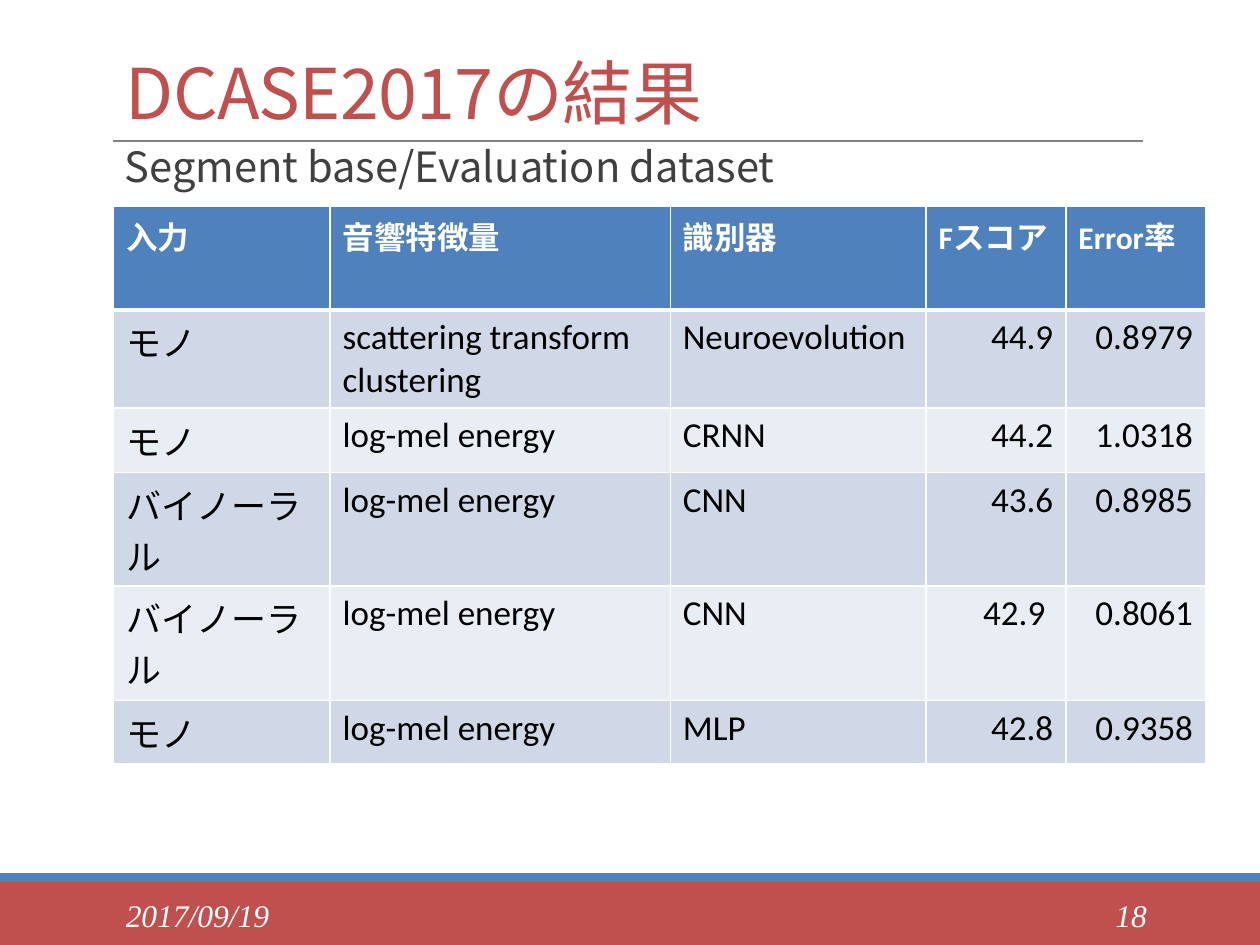
import pptx
import pptx.util
import pptx.dml.color
import pptx.enum.shapes
import pptx.enum.text
import pptx.oxml.ns
import lxml.etree

Inches = pptx.util.Inches
Pt = pptx.util.Pt
ALIGN = pptx.enum.text.PP_ALIGN
ANCHOR = pptx.enum.text.MSO_ANCHOR
qn = pptx.oxml.ns.qn

COLORS = {
    "red": "C0504D", "blue": "4F81BD", "rule": "808080", "white": "FFFFFF",
    "black": "000000", "subtitle": "404040", "odd": "D0D8E8", "even": "E9EDF4",
}
CJK = "Noto Sans CJK JP"


def rgb(name):
    return pptx.dml.color.RGBColor.from_string(COLORS[name])


def write(frame, text, color, font, paragraph=None):
    """Write one paragraph per line, with font and paragraph formats."""
    frame.text = text
    for para in frame.paragraphs:
        for key, value in (paragraph or {}).items():
            setattr(para, key, value)
        for span in para.runs:
            for key, value in font.items():
                setattr(span.font, key, value)
            span.font.color.rgb = rgb(color)
            properties = span._r.get_or_add_rPr()
            east_asian = lxml.etree.SubElement(properties, qn("a:ea"))
            east_asian.set("typeface", CJK)


deck = pptx.Presentation()
deck.slide_width, deck.slide_height = Inches(10), Inches(7.5)
page = deck.slides.add_slide(deck.slide_layouts[6])

# Footer bands
for top, height, color in [(7, 0.5, "red"), (6.93, 0.07, "blue")]:
    band = page.shapes.add_shape(
        pptx.enum.shapes.MSO_SHAPE.RECTANGLE,
        Inches(0), Inches(top), Inches(10), Inches(height))
    band.shadow.inherit = False
    band.fill.solid()
    band.fill.fore_color.rgb = rgb(color)
    band.line.fill.background()

# Rule under the title
rule = page.shapes.add_connector(
    pptx.enum.shapes.MSO_CONNECTOR.STRAIGHT,
    Inches(0.9), Inches(1.12), Inches(9.07), Inches(1.12))
rule.line.color.rgb = rgb("rule")
rule.line.width = Pt(1)
lxml.etree.SubElement(rule._element.spPr, qn("a:effectLst"))

# Title, subtitle, date and page number
title_font = {"name": CJK, "size": Pt(40)}
subtitle_font = {"name": CJK, "size": Pt(23.8)}
footer_font = {"name": "Times New Roman", "size": Pt(18), "italic": True}
subtitle_spacing = {"line_spacing": 0.7, "space_before": Pt(9), "space_after": Pt(1.5)}
texts = [
    ("DCASE2017の結果", (0.9, 0.31, 8.25, 0.8), "red", title_font,
     {"line_spacing": 0.85}, {"vertical_anchor": ANCHOR.BOTTOM}),
    ("Segment base/Evaluation dataset", (0.9, 1.18, 7.56, 0.39), "subtitle",
     subtitle_font, subtitle_spacing,
     {"margin_left": Inches(0.09), "margin_right": 0}),
    ("2017/09/19", (0.9, 7.06, 2.03, 0.4), "white", footer_font,
     {}, {"vertical_anchor": ANCHOR.MIDDLE}),
    ("18", (8.12, 7.06, 1.08, 0.4), "white", footer_font,
     {"alignment": ALIGN.RIGHT}, {"vertical_anchor": ANCHOR.MIDDLE}),
]
for text, place, color, font, paragraph, layout in texts:
    box = page.shapes.add_textbox(*map(Inches, place))
    frame = box.text_frame
    frame.word_wrap = True
    for key, value in layout.items():
        setattr(frame, key, value)
    write(frame, text, color, font, paragraph)
    if font is title_font:
        frame.paragraphs[0].runs[0]._r.get_or_add_rPr().set("spc", "-40")

# Results table
results = [
    ("入力", "音響特徴量", "識別器", "Fスコア", "Error率"),
    ("モノ", "scattering transform\nclustering", "Neuroevolution", "44.9", "0.8979"),
    ("モノ", "log-mel energy", "CRNN", "44.2", "1.0318"),
    ("バイノーラル", "log-mel energy", "CNN", "43.6", "0.8985"),
    ("バイノーラル", "log-mel energy", "CNN", "42.9 ", "0.8061"),
    ("モノ", "log-mel energy", "MLP", "42.8", "0.9358"),
]
widths = [1.72, 2.7, 2.03, 1.11, 1.11]
heights = [0.82, 0.78, 0.51, 0.9, 0.91, 0.5]
table = page.shapes.add_table(
    len(results), len(widths), Inches(0.9), Inches(1.64),
    Inches(sum(widths)), Inches(sum(heights))).table
for column, width in zip(table.columns, widths):
    column.width = Inches(width)
for row, height in zip(table.rows, heights):
    row.height = Inches(height)

for row_index, values in enumerate(results):
    header = row_index == 0
    fill = "blue" if header else ("odd" if row_index % 2 else "even")
    font = {"name": "Calibri", "size": Pt(18 if header else 20), "bold": header}
    for column_index, value in enumerate(values):
        cell = table.cell(row_index, column_index)
        numeric = column_index >= 3 and not header
        write(cell.text_frame, value, "white" if header else "black", font,
              {"alignment": ALIGN.RIGHT if numeric else ALIGN.LEFT})

        # White borders, thicker between header and body
        properties = cell._tc.get_or_add_tcPr()
        for side in ("lnL", "lnR", "lnT", "lnB"):
            thick = (row_index, side) in [(0, "lnB"), (1, "lnT")]
            border = lxml.etree.SubElement(properties, qn("a:" + side))
            border.set("w", str(Pt(3 if thick else 1)))
            solid = lxml.etree.SubElement(border, qn("a:solidFill"))
            lxml.etree.SubElement(solid, qn("a:srgbClr")).set("val", COLORS["white"])
        cell.fill.solid()
        cell.fill.fore_color.rgb = rgb(fill)

deck.save("out.pptx")
